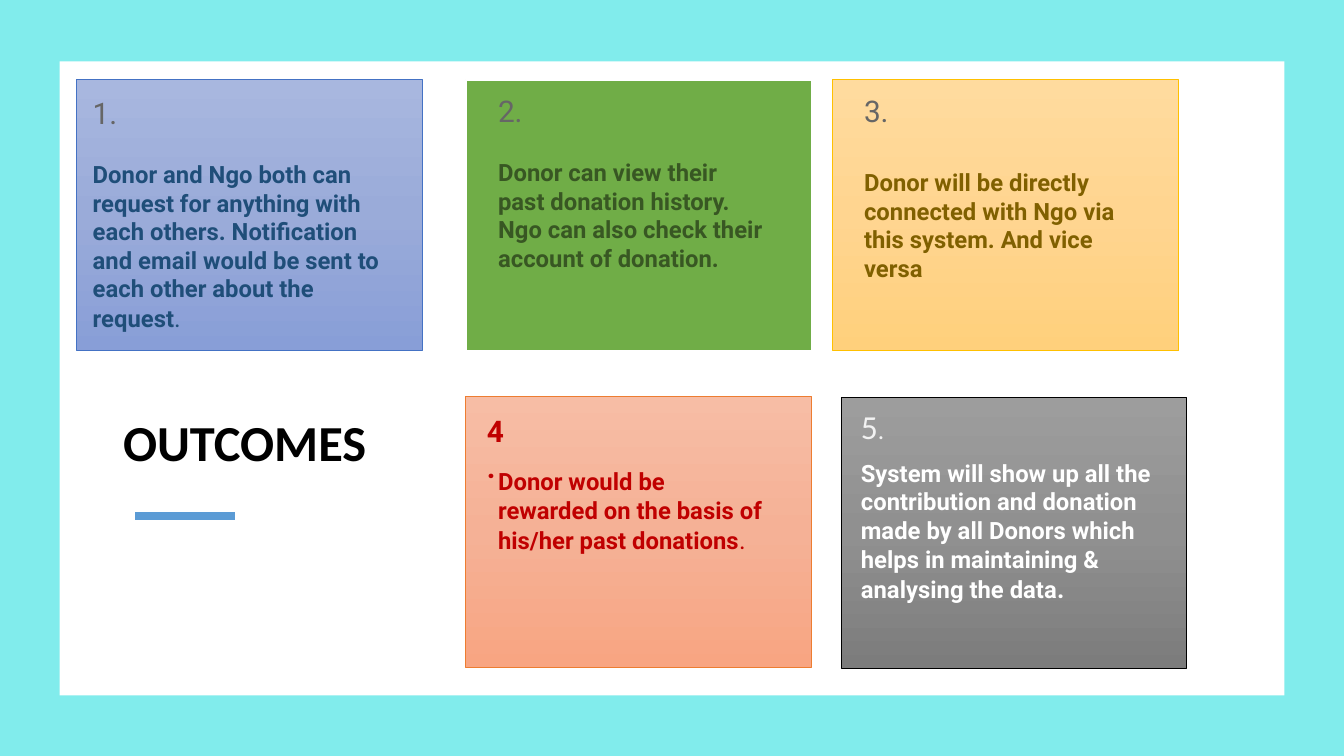
from copy import deepcopy
from dataclasses import dataclass

from pptx import Presentation
from pptx.dml.color import RGBColor as RGB
from pptx.enum.shapes import MSO_CONNECTOR, MSO_SHAPE
from pptx.enum.text import MSO_ANCHOR, MSO_AUTO_SIZE, PP_ALIGN
from pptx.oxml.ns import qn
from pptx.util import Inches, Pt


@dataclass(frozen=True)
class Theme:
    background: str = "81ECEC"
    panel: str = "FFFFFF"
    title: str = "000000"
    accent: str = "5B9BD5"
    number: str = "666666"
    blue: str = "1F4E79"
    green: str = "385723"
    gold: str = "806000"
    red: str = "C00000"
    white: str = "FFFFFF"
    pale: str = "F2F2F2"
    heading_font: str = "Calibri"
    body_font: str = "Roboto"
    title_size: float = 36
    number_size: float = 21.3
    large_number_size: float = 24
    body_size: float = 17
    stop_size: float = 18


T = Theme()
CARD_W, CARD_H = 3.43, 2.69
INSET = 0.13


def rgb(color):
    return RGB.from_string(color)


def set_font(font, size, color, name=T.body_font, bold=False):
    font.name, font.size, font.bold = name, Pt(size), bold
    font.color.rgb = rgb(color)


def set_insets(tf, inset):
    tf.margin_left = tf.margin_right = Inches(inset)
    tf.margin_top = tf.margin_bottom = Inches(inset)


def add_text_box(s, box, inset=INSET):
    tf = s.shapes.add_textbox(*map(Inches, box)).text_frame
    tf.word_wrap = True
    set_insets(tf, inset)
    return tf


def write_number(p, text, color=T.number, bold=False):
    p.text = text
    set_font(p.font, T.number_size, color, bold=bold)


def write_body(p, text, color, stop="", stop_bold=False):
    """Bold text, with a slightly larger full stop where one is given."""
    set_font(p.font, T.body_size, color, bold=True)
    p.add_run().text = text
    if stop:
        r = p.add_run()
        r.text = stop
        r.font.size, r.font.bold = Pt(T.stop_size), stop_bold


def set_gradient(shape, colors):
    """Vertical gradient with evenly spaced stops."""
    fill = shape.fill
    fill.gradient()
    fill.gradient_angle = 270
    stops = shape.element.spPr.find(qn("a:gradFill")).find(qn("a:gsLst"))
    while len(stops) < len(colors):
        stops.append(deepcopy(stops[-1]))
    for i, (stop, color) in enumerate(zip(fill.gradient_stops, colors)):
        stop.position = i / (len(colors) - 1)
        stop.color.rgb = rgb(color)


def add_card(s, x, y, colors, line, line_width=0.5):
    card = s.shapes.add_shape(MSO_SHAPE.RECTANGLE, Inches(x), Inches(y),
                              Inches(CARD_W), Inches(CARD_H))
    card.shadow.inherit = False
    if len(colors) > 1:
        set_gradient(card, colors)
    else:
        card.fill.solid()
        card.fill.fore_color.rgb = rgb(colors[0])
    card.line.color.rgb = rgb(line)
    card.line.width = Pt(line_width)


def add_outcome(s, box, number, lines, color, gap, stop=""):
    """Number and text together in one box, gap points apart."""
    tf = add_text_box(s, box)
    write_number(tf.paragraphs[0], number)
    for i, text in enumerate(lines):
        p = tf.add_paragraph()
        p.space_before = Pt(0 if i else gap)
        write_body(p, text, color, stop)


def add_panel(s, x, y, w, h):
    s.background.fill.solid()
    s.background.fill.fore_color.rgb = rgb(T.background)
    panel = s.shapes.add_shape(MSO_SHAPE.RECTANGLE, *map(Inches, (x, y, w, h)))
    panel.shadow.inherit = False
    panel.fill.solid()
    panel.fill.fore_color.rgb = rgb(T.panel)
    panel.line.fill.background()


def add_title(s, x, y, w, h):
    title = s.shapes.title
    title.left, title.top, title.width, title.height = map(Inches, (x, y, w, h))
    title.element.getparent().append(title.element)  # in front of the panel
    tf = title.text_frame
    tf.auto_size = MSO_AUTO_SIZE.NONE
    tf.vertical_anchor = MSO_ANCHOR.MIDDLE
    set_insets(tf, INSET)
    p = tf.paragraphs[0]
    p.text = "OUTCOMES"
    p.alignment = PP_ALIGN.LEFT
    set_font(p.font, T.title_size, T.title, T.heading_font, bold=True)

    rule_x, rule_y = x + 0.25, y + 1.96
    rule = s.shapes.add_connector(MSO_CONNECTOR.STRAIGHT, Inches(rule_x), Inches(rule_y),
                                  Inches(rule_x + 0.99), Inches(rule_y))
    rule.line.color.rgb = rgb(T.accent)
    rule.line.width = Pt(6)
    rule.element.spPr.append(rule.element.spPr.makeelement(qn("a:effectLst"), {}))


def add_request_card(s, x, y):
    add_card(s, x, y, ["A8B7DF", "9AABD9", "889ED7"], "4472C4")
    add_outcome(s, (x + 0.03, y + 0.02, 3.23, 2.4), "1.",
                ["Donor and Ngo both can request for anything with each others. "
                 "Notification and email would be sent to each other about the request"],
                T.blue, 21, stop=".")


def add_history_card(s, x, y):
    add_card(s, x, y, ["70AD47"], "FFFFFF", 1.5)
    add_outcome(s, (x + 0.19, y, 2.91, 2.11), "2.",
                ["Donor can view their past donation history.",
                 "Ngo can also check their account of donation."], T.green, 21)


def add_connection_card(s, x, y):
    add_card(s, x, y, ["FFDB9E", "FFD590", "FFD07C"], "FFC000")
    add_outcome(s, (x + 0.18, y, 3.07, 1.66), "3.",
                ["Donor will be directly connected with Ngo via this system. "
                 "And vice versa"], T.gold, 28)


def add_reward_card(s, x, y):
    add_card(s, x, y, ["F7BDA5", "F5B196", "F8A582"], "ED7D31")
    tf = add_text_box(s, (x + 0.19, y + 0.57, 2.91, 1.28))
    write_body(tf.paragraphs[0],
               "Donor would be rewarded on the basis of his/her past donations",
               T.red, ".")
    tf = add_text_box(s, (x + 0.11, y + 0.12, 0.45, 0.46), 0.1)
    tf.margin_top = tf.margin_bottom = Inches(0.05)
    write_number(tf.paragraphs[0], "4.", T.red, bold=True)


def add_report_card(s, x, y):
    add_card(s, x, y, ["9D9D9D", "909090", "7C7C7C"], "000000")
    tf = add_text_box(s, (x + 0.1, y + 0.04, 2.91, 0.5), 0.1)
    tf.margin_top = tf.margin_bottom = Inches(0.05)
    p = tf.paragraphs[0]
    set_font(p.font, T.large_number_size, T.pale, T.heading_font)
    for text, size in (("5", T.large_number_size), (".", T.stop_size)):
        r = p.add_run()
        r.text, r.font.size = text, Pt(size)
    tf = add_text_box(s, (x + 0.1, y + 0.56, 3.37, 1.55), 0.1)
    tf.margin_top = tf.margin_bottom = Inches(0.05)
    write_body(tf.paragraphs[0],
               "System will show up all the contribution and donation made by all "
               "Donors which helps in maintaining & analysing the data",
               T.white, ".", stop_bold=True)


def main():
    prs = Presentation()
    prs.slide_width, prs.slide_height = Inches(13.33), Inches(7.5)
    s = prs.slides.add_slide(prs.slide_layouts[5])
    add_panel(s, 0.59, 0.61, 12.15, 6.29)
    add_title(s, 1.09, 3.16, 3.71, 2.43)
    add_request_card(s, 0.76, 0.79)
    add_history_card(s, 4.62, 0.79)
    add_connection_card(s, 8.26, 0.79)
    add_reward_card(s, 4.62, 3.93)
    add_report_card(s, 8.34, 3.94)
    prs.save("out.pptx")


if __name__ == "__main__":
    main()
